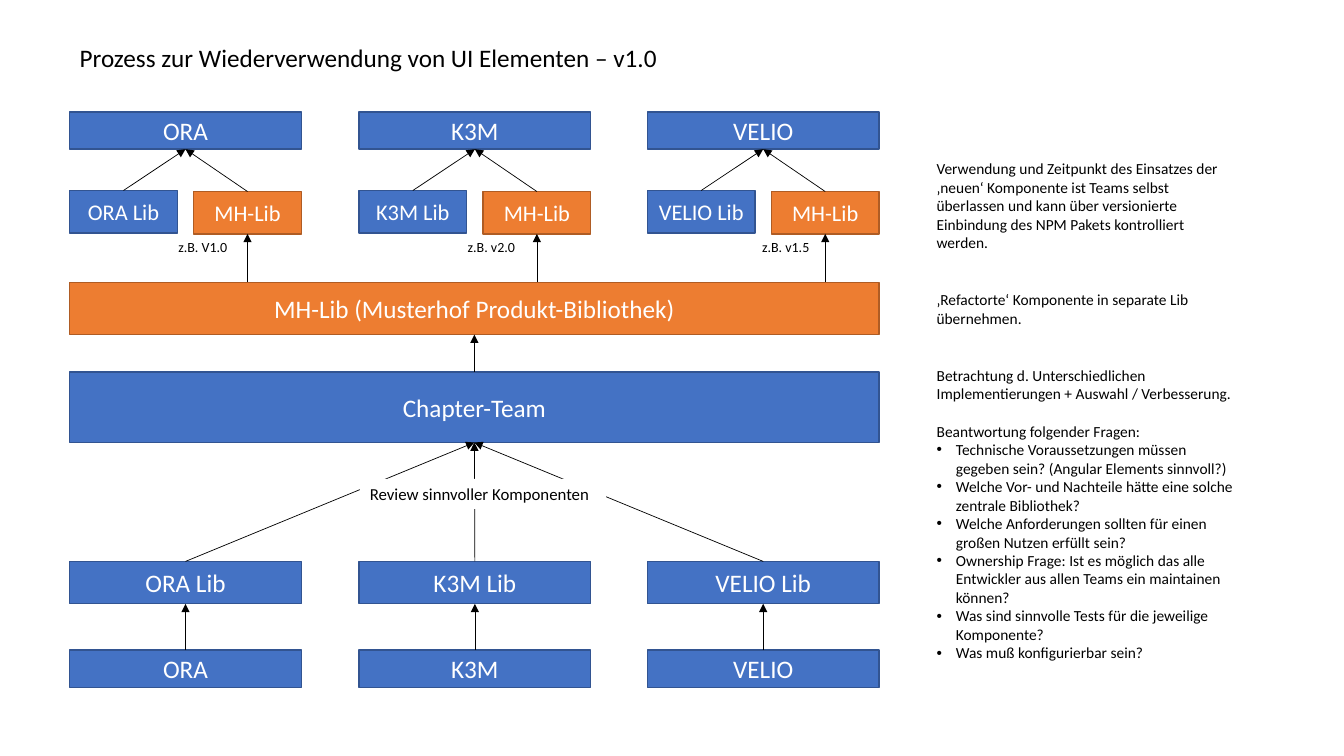
from dataclasses import dataclass

from pptx import Presentation
from pptx.dml.color import RGBColor
from pptx.enum.shapes import MSO_CONNECTOR, MSO_SHAPE
from pptx.enum.text import MSO_ANCHOR, MSO_AUTO_SIZE, PP_ALIGN
from pptx.oxml.ns import qn
from pptx.util import Pt
from lxml.etree import SubElement

# Content
TITLE = "Prozess zur Wiederverwendung von UI Elementen – v1.0"
TEAMS = [  # name, version tag, offset of the tag in its column
    ("ORA", "z.B. V1.0", 98),
    ("K3M", "z.B. v2.0", 98),
    ("VELIO", "z.B. v1.5", 104),
]
SHARED = "MH-Lib"
BAR = SHARED + " (Musterhof Produkt-Bibliothek)"
CHAPTER = "Chapter-Team"
REVIEW = "Review sinnvoller Komponenten"
NOTES = [  # top, height, text
    (153, 103, "Verwendung und Zeitpunkt des Einsatzes der ‚neuen‘ Komponente ist Teams "
               "selbst überlassen und kann über versionierte Einbindung des NPM Pakets "
               "kontrolliert werden."),
    (283, 47, "‚Refactorte‘ Komponente in separate Lib übernehmen."),
]
INTRO = [
    "Betrachtung d. Unterschiedlichen Implementierungen + Auswahl / Verbesserung.",
    "Beantwortung folgender Fragen:",
]
ASKS = [
    "Technische Voraussetzungen müssen gegeben sein? (Angular Elements sinnvoll?)",
    "Welche Vor- und Nachteile hätte eine solche zentrale Bibliothek?",
    "Welche Anforderungen sollten für einen großen Nutzen erfüllt sein?",
    "Ownership Frage: Ist es möglich das alle Entwickler aus allen Teams ein "
    "maintainen können?",
    "Was sind sinnvolle Tests für die jeweilige Komponente?",
    "Was muß konfigurierbar sein?",
]


@dataclass(frozen=True)
class Theme:
    font: str = "Calibri"
    black: str = "000000"
    white: str = "FFFFFF"
    blue: tuple = ("4472C4", "325491")
    orange: tuple = ("ED7D31", "AF5C24")
    head: int = 18
    lib: int = 16
    label: int = 12
    note: int = 11
    tag: int = 10


LOOK = Theme()
PX = 9144  # 100 px to the inch

# Layout in px
LEFT, STEP, WIDE, SMALL = 69, 286.5, 230, 107
SPAN = 803
NOTE_X = 919


def px(*nums):
    return [round(n) * PX for n in nums]


def rgb(code):
    return RGBColor.from_string(code)


def write(shape, lines, size=LOOK.head, color=LOOK.black, align=PP_ALIGN.LEFT,
          anchor=MSO_ANCHOR.TOP, space=1.0):
    frame = shape.text_frame
    frame.word_wrap = True
    frame.auto_size = MSO_AUTO_SIZE.NONE
    frame.vertical_anchor = anchor
    frame.text = "\n".join(lines)
    for para in frame.paragraphs:
        para.alignment = align
        para.line_spacing = space
        para.space_before = Pt(0)
        font = para.runs[0].font
        font.name, font.size, font.color.rgb = LOOK.font, Pt(size), rgb(color)
    return frame


def place(shape, *area):
    shape.left, shape.top, shape.width, shape.height = px(*area)


def rect(area, fill, edge=None):
    shape = slide.shapes.add_shape(MSO_SHAPE.RECTANGLE, *px(*area))
    shape.shadow.inherit = False
    shape.fill.solid()
    shape.fill.fore_color.rgb = rgb(fill)
    if edge:
        shape.line.color.rgb = rgb(edge)
        shape.line.width = Pt(1)
    else:
        shape.line.fill.background()
    return shape


def box(text, *area, tone=LOOK.blue, size=LOOK.head):
    shape = rect(area, *tone)
    write(shape, [text], size=size, color=LOOK.white, align=PP_ALIGN.CENTER,
          anchor=MSO_ANCHOR.MIDDLE)
    return shape


def label(text, *area, size=LOOK.note):
    write(slide.shapes.add_textbox(*px(*area)), [text], size=size)


def arrow(end, start=None, low=0):
    """Point up at end, from the top of start or straight from height low."""
    mid = end.left + end.width // 2
    line = slide.shapes.add_connector(MSO_CONNECTOR.STRAIGHT, mid, low * PX,
                                      mid, end.top + end.height)
    if start is not None:
        line.begin_connect(start, 0)
    line.end_connect(end, 2)
    line.line.color.rgb = rgb(LOOK.black)
    line.line.width = Pt(0.5)
    props = line._element.spPr
    SubElement(props.find(qn("a:ln")), qn("a:tailEnd"), type="triangle")
    SubElement(props, qn("a:effectLst"))


deck = Presentation()
deck.slide_width, deck.slide_height = px(1333, 750)
slide = deck.slides.add_slide(deck.slide_layouts[1])

# Title
title = slide.shapes.title
place(title, 69, 39, 1150, 39)
write(title, [TITLE], anchor=MSO_ANCHOR.MIDDLE, space=0.9)

# Questions in the body placeholder
body = slide.placeholders[1]
place(body, NOTE_X, 358, 318, 306)
paras = write(body, INTRO + ASKS, size=LOOK.note).paragraphs
for num, para in enumerate(paras):
    plain = num < len(INTRO)
    hang = 0 if plain else 19 * PX
    props = para._p.get_or_add_pPr()
    props.set("marL", str(hang))
    props.set("indent", str(-hang))
    if plain:
        SubElement(props, qn("a:buNone"))
paras[1].space_before = Pt(13.4)

# Shared bars
bar = box(BAR, LEFT, 280, SPAN, 52, tone=LOOK.orange)
chapter = box(CHAPTER, LEFT, 369, SPAN, 70)
arrow(bar, chapter)

# One column for each team
for col, (name, tag, shift) in enumerate(TEAMS):
    x = round(LEFT + col * STEP)
    app = box(name, x, 111, WIDE, 37)
    own = box(name + " Lib", x, 189, SMALL, 42, size=LOOK.lib)
    common = box(SHARED, x + WIDE - SMALL, 190, SMALL, 42, tone=LOOK.orange,
                 size=LOOK.lib)
    arrow(app, own)
    arrow(app, common)
    arrow(common, low=280)
    label(tag, x + shift, 232, 72, 27, size=LOOK.tag)

    source = box(name + " Lib", x, 557, WIDE, 42)
    base = box(name, x, 645, WIDE, 37)
    arrow(source, base)
    arrow(chapter, source)

# Review label over the arrows
review = rect((357, 475, 244, 30), LOOK.white)
write(review, [REVIEW], size=LOOK.label)

# Side notes
for top, high, text in NOTES:
    label(text, NOTE_X, top, 301, high)

deck.save("out.pptx")
